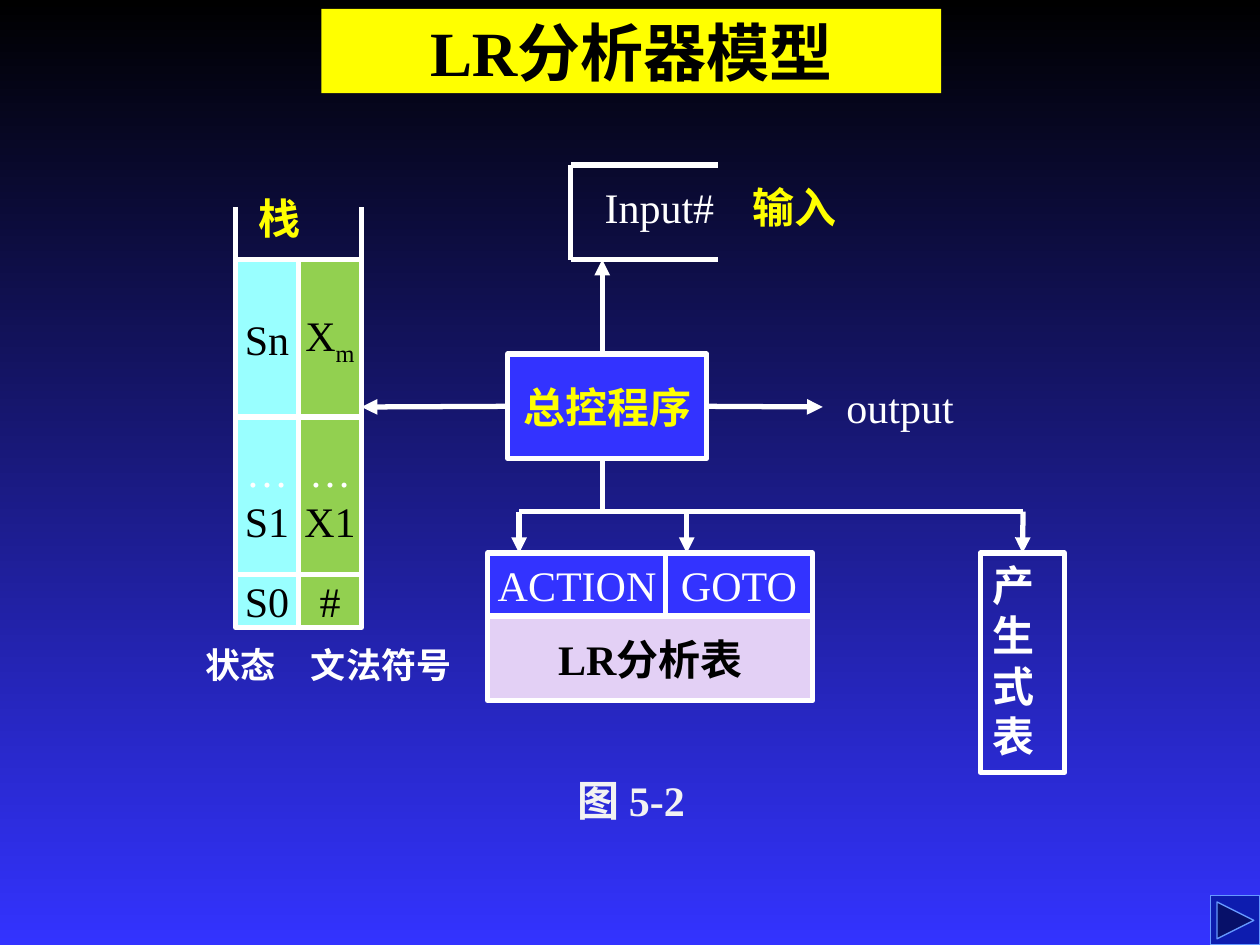
from lxml import etree
from pptx import Presentation
from pptx.dml.color import RGBColor
from pptx.enum import shapes, text
from pptx.oxml import ns
from pptx.util import Inches, Pt

WHITE, BLACK, YELLOW, BLUE = "FFFFFF", "000000", "FFFF00", "3333FF"
CYAN, GREEN, LILAC = "99FFFF", "92D050", "E3D0F5"
CENTER = text.PP_ALIGN.CENTER


def color(hex_string):
    return RGBColor.from_string(hex_string)


def set_background(slide, top, bottom):
    fill = slide.background.fill
    fill.gradient()
    fill.gradient_angle = 270
    for stop, position, shade in zip(fill.gradient_stops, (0, 1), (top, bottom)):
        stop.position = position
        stop.color.rgb = color(shade)


def add_run(paragraph, content, size=24, fill=WHITE, bold=False,
            font="Times New Roman", baseline=None):
    run = paragraph.add_run()
    run.text = content
    run.font.size = Pt(size)
    run.font.name = font
    run.font.bold = bold
    run.font.color.rgb = color(fill)
    if baseline is not None:
        run.font._element.set("baseline", str(baseline))


def write(shape, content, align=None, anchor=text.MSO_ANCHOR.TOP, wrap=True,
          line_spacing=None, **style):
    """Fill a shape with one paragraph per line of content."""
    frame = shape.text_frame
    frame.word_wrap = wrap
    frame.vertical_anchor = anchor
    for index, line in enumerate(content.split("\n")):
        paragraph = frame.paragraphs[0] if index == 0 else frame.add_paragraph()
        paragraph.alignment = align
        if line_spacing:
            paragraph.line_spacing = line_spacing
        add_run(paragraph, line, **style)
    return shape


def add_label(slide, content, left, top, width, height=0.5, **style):
    box = slide.shapes.add_textbox(
        Inches(left), Inches(top), Inches(width), Inches(height))
    return write(box, content, **style)


def add_box(slide, left, top, width, height, fill=None, line=WHITE, weight=3,
            kind=shapes.MSO_SHAPE.RECTANGLE):
    shape = slide.shapes.add_shape(
        kind, Inches(left), Inches(top), Inches(width), Inches(height))
    shape.shadow.inherit = False
    if fill:
        shape.fill.solid()
        shape.fill.fore_color.rgb = color(fill)
    else:
        shape.fill.background()
    if line:
        shape.line.color.rgb = color(line)
        shape.line.width = Pt(weight)
    else:
        shape.line.fill.background()
    return shape


def add_cell(slide, content, *place, wrap=False, **style):
    """Add a filled box with centred text; place is left, top, width, height, fill."""
    return write(add_box(slide, *place), content, align=CENTER,
                 anchor=text.MSO_ANCHOR.MIDDLE, wrap=wrap, **style)


def add_line(slide, x1, y1, x2, y2, arrow=False, begin=None, end=None):
    """Add a line; begin and end are optional (shape, side) joints."""
    line = slide.shapes.add_connector(
        shapes.MSO_CONNECTOR.STRAIGHT,
        Inches(x1), Inches(y1), Inches(x2), Inches(y2))
    line.line.color.rgb = color(WHITE)
    line.line.width = Pt(3)
    if arrow:
        tail = etree.SubElement(line.line._get_or_add_ln(), ns.qn("a:tailEnd"))
        tail.set("type", "triangle")
    etree.SubElement(line._element.spPr, ns.qn("a:effectLst"))
    if begin:
        line.begin_connect(*begin)
    if end:
        line.end_connect(*end)


def add_input(slide):
    left, right, top, bottom = 4.53, 5.7, 1.31, 2.06
    for y in (bottom, top):
        add_line(slide, left, y, right, y)
    add_line(slide, left, top, left, bottom)
    add_label(slide, "Input#", 4.7, 1.39, 1.17)
    add_label(slide, "输入", 5.87, 1.39, 1.18, fill=YELLOW, bold=True, font="Arial")


def add_stack(slide):
    left, top, width = 1.87, 2.06, 0.5
    rows = [(1.25, "Sn", "X"), (1.25, "…\nS1", "…\nX1"), (0.42, "S0", "#")]
    y = top
    for height, *entries in rows:
        for column, (entry, fill) in enumerate(zip(entries, (CYAN, GREEN))):
            cell = add_cell(slide, entry, left + column * width, y, width, height,
                            fill, fill=BLACK)
            paragraph = cell.text_frame.paragraphs[0]
            if entry == "X":
                add_run(paragraph, "m", fill=BLACK, baseline=-25000)
            elif entry.startswith("…"):
                paragraph.runs[0].font.color.rgb = color(WHITE)
        y += height
    # Open top and captions
    for x in (left, left + 2 * width):
        add_line(slide, x, top, x, 1.64)
    add_label(slide, "栈", 1.95, 1.48, 0.75, fill=YELLOW, bold=True)
    add_label(slide, "状态", 1.53, 5.06, 1, 0.43, size=20, bold=True)
    add_label(slide, "文法符号", 2.37, 5.06, 1.5, 0.43, size=20, bold=True)


def add_tables(slide):
    top = 4.39
    add_cell(slide, "ACTION", 3.87, top, 1.42, 0.5, BLUE)
    add_cell(slide, "GOTO", 5.28, top, 1.17, 0.5, BLUE)
    add_cell(slide, "LR分析表", 3.87, 4.89, 2.58, 0.67, LILAC, fill=BLACK, bold=True)
    productions = write(add_box(slide, 7.78, top, 0.67, 1.74), "产生式表",
                        align=text.PP_ALIGN.LEFT, bold=True)
    # Branches from the control program
    bus = 4.06
    add_line(slide, 4.78, 3.64, 4.78, bus)
    add_line(slide, 4.12, bus, 8.12, bus)
    for x, joint in ((4.12, None), (5.45, None), (8.12, (productions, 0))):
        add_line(slide, x, bus, x, top, arrow=True, end=joint)


def main():
    presentation = Presentation()
    presentation.slide_width, presentation.slide_height = Inches(10), Inches(7.5)
    slide = presentation.slides.add_slide(presentation.slide_layouts[6])
    set_background(slide, BLACK, BLUE)

    # Title
    add_cell(slide, "LR分析器模型", 2.55, 0.07, 4.92, 0.67, YELLOW, None,
             wrap=True, size=36, fill=BLACK, bold=True)

    # Control program and its surroundings
    control = add_cell(slide, "总控程序", 4.03, 2.81, 1.58, 0.83, BLUE,
                       fill=YELLOW, bold=True)
    add_input(slide)
    add_stack(slide)
    add_tables(slide)
    add_label(slide, "output", 6.62, 2.98, 1.17)
    add_line(slide, 5.61, 3.23, 6.53, 3.23, arrow=True, begin=(control, 3))
    add_line(slide, 4.03, 3.23, 2.87, 3.23, arrow=True, begin=(control, 1))
    add_line(slide, 4.78, 2.81, 4.78, 2.06, arrow=True)

    # Caption and navigation button
    add_label(slide, "图 5-2", 4.03, 6.06, 1.96, 0.51, align=CENTER,
              line_spacing=1.1, fill="F2F2F2", bold=True)
    add_box(slide, 9.61, 7.11, 0.39, 0.39, "0D1CAF", "6699FF", 0.75,
            shapes.MSO_SHAPE.ACTION_BUTTON_FORWARD_OR_NEXT)

    presentation.save("out.pptx")


if __name__ == "__main__":
    main()
